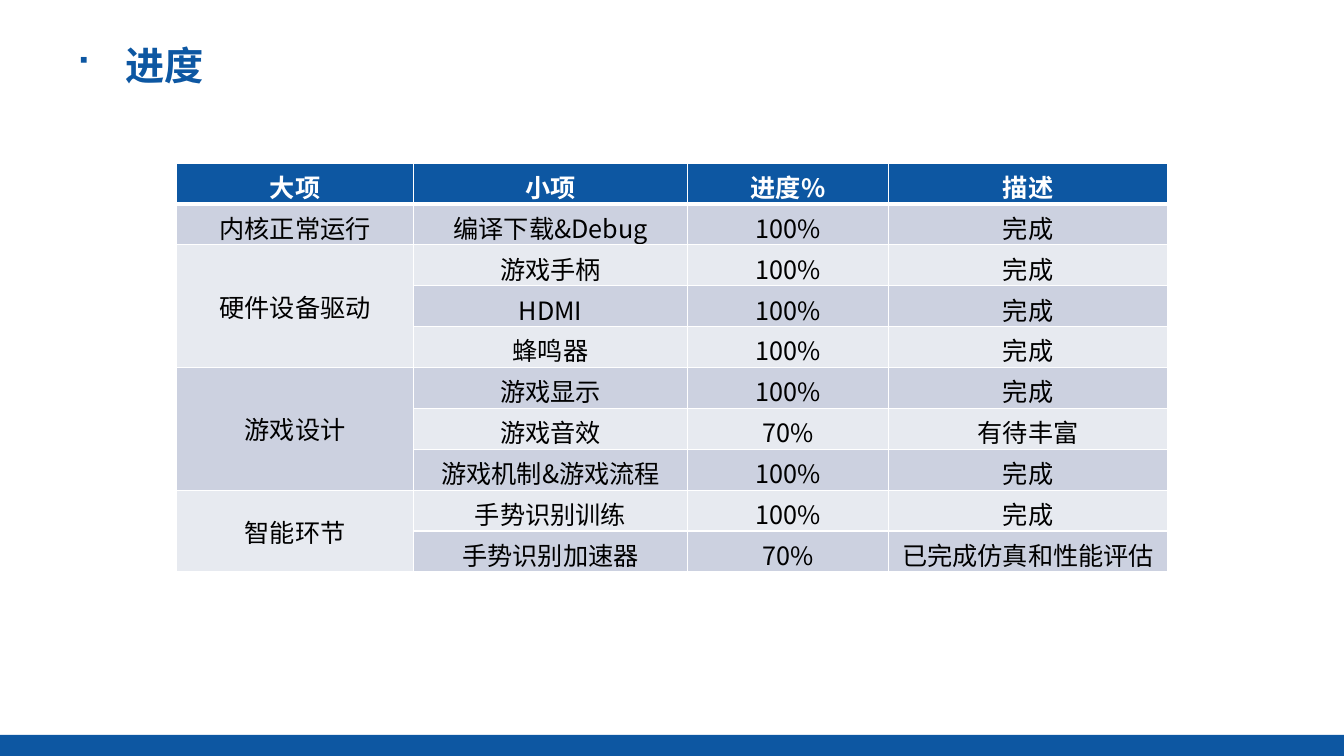
"""Build the project progress slide with its title and grouped status table."""
from dataclasses import dataclass

from lxml.etree import SubElement
from pptx import Presentation
from pptx.dml.color import RGBColor as Rgb
from pptx.enum.shapes import MSO_SHAPE as Preset
from pptx.enum.text import MSO_ANCHOR as Anchor, MSO_AUTO_SIZE as AutoSize, PP_ALIGN as Align
from pptx.oxml.ns import qn
from pptx.slide import Slide
from pptx.table import _Cell as Cell
from pptx.text.text import _Run as Run
from pptx.util import Cm, Pt


@dataclass(frozen=True)
class Theme:
    font: str = "Noto Sans CJK SC"
    blue: str = "0D57A2"
    deep_blue: str = "0A417A"
    white: str = "FFFFFF"
    black: str = "000000"
    bands: tuple[str, str] = ("CCD1E0", "E7EAF0")
    title_size: int = 28
    table_size: int = 18
    thin_rule: int = 1
    thick_rule: int = 3


@dataclass(frozen=True)
class Task:
    name: str
    progress: str = "100%"
    status: str = "完成"


@dataclass(frozen=True)
class Group:
    name: str
    tasks: tuple[Task, ...]


THEME = Theme()
HEADINGS = ("大项", "小项", "进度%", "描述")
COLUMN_WIDTHS = (5.97, 6.91, 5.06, 7.04)
ROW_HEIGHT = 1.03
GROUPS = (
    Group("内核正常运行", (Task("编译下载&Debug"),)),
    Group("硬件设备驱动", (Task("游戏手柄"), Task("HDMI"), Task("蜂鸣器"))),
    Group("游戏设计", (
        Task("游戏显示"),
        Task("游戏音效", "70%", "有待丰富"),
        Task("游戏机制&游戏流程"),
    )),
    Group("智能环节", (
        Task("手势识别训练"),
        Task("手势识别加速器", "70%", "已完成仿真和性能评估"),
    )),
)


def format_run(span: Run, size: int, bold: bool) -> None:
    """Set the typeface, size and weight of a run."""
    values = {"name": THEME.font, "size": Pt(size), "bold": bold}
    for name, value in values.items():
        setattr(span.font, name, value)
    SubElement(span.font._element, qn("a:ea"), typeface=THEME.font)


def add_footer(slide: Slide, deck_width: int) -> None:
    """Draw the blue band along the bottom edge."""
    band = slide.shapes.add_shape(Preset.RECTANGLE, 0, Cm(18.52), deck_width, Cm(0.53))
    band.shadow.inherit = False
    band.fill.solid()
    band.fill.fore_color.rgb = Rgb.from_string(THEME.blue)
    band.line.fill.background()


def add_title(slide: Slide, text: str) -> None:
    """Place the bulleted slide title."""
    box = slide.shapes.title
    places = {"left": 1.63, "top": 0.91, "width": 3.78, "height": 1.45}
    for name, value in places.items():
        setattr(box, name, Cm(value))
    frame = box.text_frame
    layout = {"word_wrap": False, "auto_size": AutoSize.SHAPE_TO_FIT_TEXT,
              "vertical_anchor": Anchor.MIDDLE}
    for name, value in layout.items():
        setattr(frame, name, value)
    para = frame.paragraphs[0]
    para.alignment = Align.LEFT
    properties = para._p.get_or_add_pPr()
    indent = Cm(1.27)
    properties.set("marL", str(indent))
    properties.set("indent", str(-indent))
    SubElement(properties, qn("a:buFont"), typeface="Wingdings")
    SubElement(properties, qn("a:buChar"), char="■")
    span = para.add_run()
    span.text = text
    fill = span.font.fill
    fill.gradient()
    fill.gradient_angle = 270
    for stop, color in zip(fill.gradient_stops, (THEME.blue, THEME.deep_blue)):
        stop.color.rgb = Rgb.from_string(color)
    format_run(span, THEME.title_size, True)


def add_borders(cell: Cell, row: int) -> None:
    """Rule the four sides of a cell, heavier beneath the header."""
    properties = cell._tc.get_or_add_tcPr()
    heavy_side = {0: "lnB", 1: "lnT"}.get(row)
    for index, side in enumerate(("lnL", "lnR", "lnT", "lnB")):
        width = THEME.thick_rule if side == heavy_side else THEME.thin_rule
        line = SubElement(properties, qn(f"a:{side}"), w=str(Pt(width)))
        fill = SubElement(line, qn("a:solidFill"))
        SubElement(fill, qn("a:srgbClr"), val=THEME.white)
        properties.insert(index, line)


def format_cell(cell: Cell, text: str, row: int, band: str) -> None:
    """Fill, rule and write one table cell."""
    header = row == 0
    cell.fill.solid()
    cell.fill.fore_color.rgb = Rgb.from_string(band)
    cell.vertical_anchor = Anchor.MIDDLE
    add_borders(cell, row)
    if not text:
        return
    para = cell.text_frame.paragraphs[0]
    para.alignment = Align.CENTER
    span = para.add_run()
    span.text = text
    span.font.color.rgb = Rgb.from_string(THEME.white if header else THEME.black)
    format_run(span, THEME.table_size, header)


def add_progress_table(slide: Slide) -> None:
    """Draw the status table, merging the first column by group."""
    rows = [HEADINGS]
    spans = []
    for group in GROUPS:
        spans.append((len(rows), len(rows) + len(group.tasks) - 1))
        for index, task in enumerate(group.tasks):
            rows.append(("" if index else group.name, task.name, task.progress, task.status))
    table = slide.shapes.add_table(
        len(rows), len(HEADINGS), Cm(4.45), Cm(4.11),
        Cm(sum(COLUMN_WIDTHS)), Cm(ROW_HEIGHT * len(rows)),
    ).table
    for column, width in zip(table.columns, COLUMN_WIDTHS):
        column.width = Cm(width)
    for number, texts in enumerate(rows):
        table.rows[number].height = Cm(ROW_HEIGHT)
        band = THEME.bands[(number - 1) % 2] if number else THEME.blue
        for column, text in enumerate(texts):
            format_cell(table.cell(number, column), text, number, band)
    for first, last in spans:
        if last > first:
            table.cell(first, 0).merge(table.cell(last, 0))


def main() -> None:
    """Create and save the deck."""
    deck = Presentation()
    deck.slide_width, deck.slide_height = Cm(33.87), Cm(19.05)
    slide = deck.slides.add_slide(deck.slide_layouts[5])
    add_footer(slide, deck.slide_width)
    add_title(slide, "进度")
    add_progress_table(slide)
    deck.save("out.pptx")


if __name__ == "__main__":
    main()
